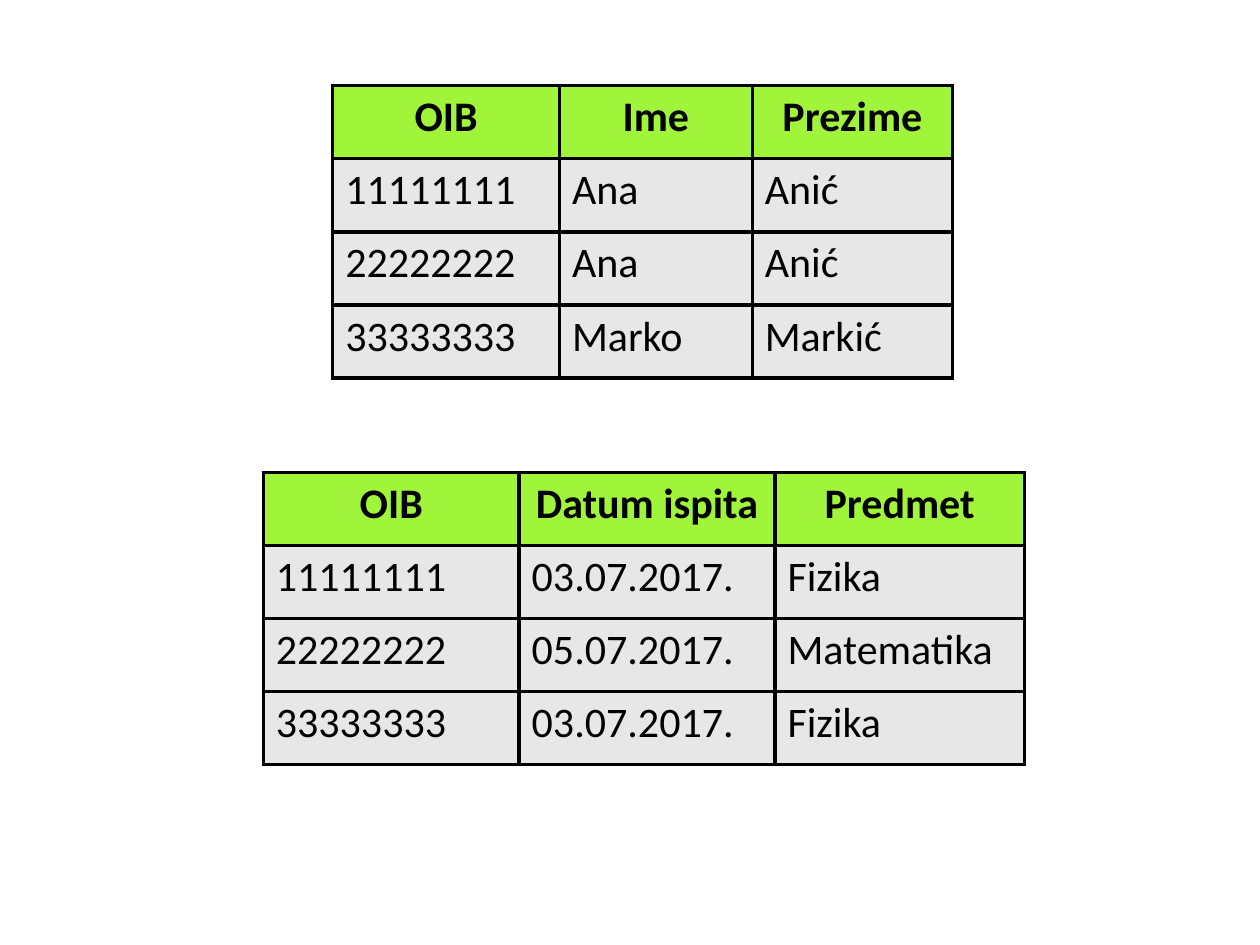
from lxml import etree
from pptx import Presentation
from pptx.dml.color import RGBColor
from pptx.enum.text import PP_ALIGN as Align
from pptx.oxml.ns import qn
from pptx.util import Inches, Pt

BLACK, GREEN, GREY = "000000", "A0F43A", "E7E7E7"
ROW_HEIGHT = 0.58

STUDENTS = [
    ("OIB", "Ime", "Prezime"),
    ("11111111", "Ana", "Anić"),
    ("22222222", "Ana", "Anić"),
    ("33333333", "Marko", "Markić"),
]
EXAMS = [
    ("OIB", "Datum ispita", "Predmet"),
    ("11111111", "03.07.2017.", "Fizika"),
    ("22222222", "05.07.2017.", "Matematika"),
    ("33333333", "03.07.2017.", "Fizika"),
]


def paint(fill, color):
    fill.solid()
    fill.fore_color.rgb = RGBColor.from_string(color)


def write(frame, text, size=24, font="Calibri", color=BLACK, bold=False, align=Align.LEFT):
    paragraph = frame.paragraphs[0]
    paragraph.alignment = align
    run = paragraph.add_run()
    run.text = text
    run.font.size = Pt(size)
    run.font.name = font
    run.font.bold = bold
    paint(run.font.fill, color)


def outline(cell, color=BLACK, width=2.25):
    """Draw all four borders; call before filling, as lines precede the fill."""
    properties = cell._tc.get_or_add_tcPr()
    for side in ("lnL", "lnR", "lnT", "lnB"):
        line = etree.SubElement(properties, qn(f"a:{side}"), w=str(Pt(width)))
        solid = etree.SubElement(line, qn("a:solidFill"))
        etree.SubElement(solid, qn("a:srgbClr"), val=color)


def add_record_table(slide, records, left, top, widths):
    table = slide.shapes.add_table(
        len(records), len(widths), Inches(left), Inches(top),
        Inches(sum(widths)), Inches(ROW_HEIGHT * len(records)),
    ).table
    for column, width in zip(table.columns, widths):
        column.width = Inches(width)
    for row, record in enumerate(records):
        header = row == 0
        for column, value in enumerate(record):
            cell = table.cell(row, column)
            outline(cell)
            paint(cell.fill, GREEN if header else GREY)
            write(cell.text_frame, value, bold=header,
                  align=Align.CENTER if header else Align.LEFT)


def main():
    presentation = Presentation()
    presentation.slide_width = Inches(10)
    presentation.slide_height = Inches(7.5)
    slide = presentation.slides.add_slide(presentation.slide_layouts[6])
    add_record_table(slide, STUDENTS, 2.64, 0.68, (1.8, 1.53, 1.59))
    add_record_table(slide, EXAMS, 2.09, 3.75, (2.03, 2.03, 1.98))
    presentation.save("out.pptx")


if __name__ == "__main__":
    main()
